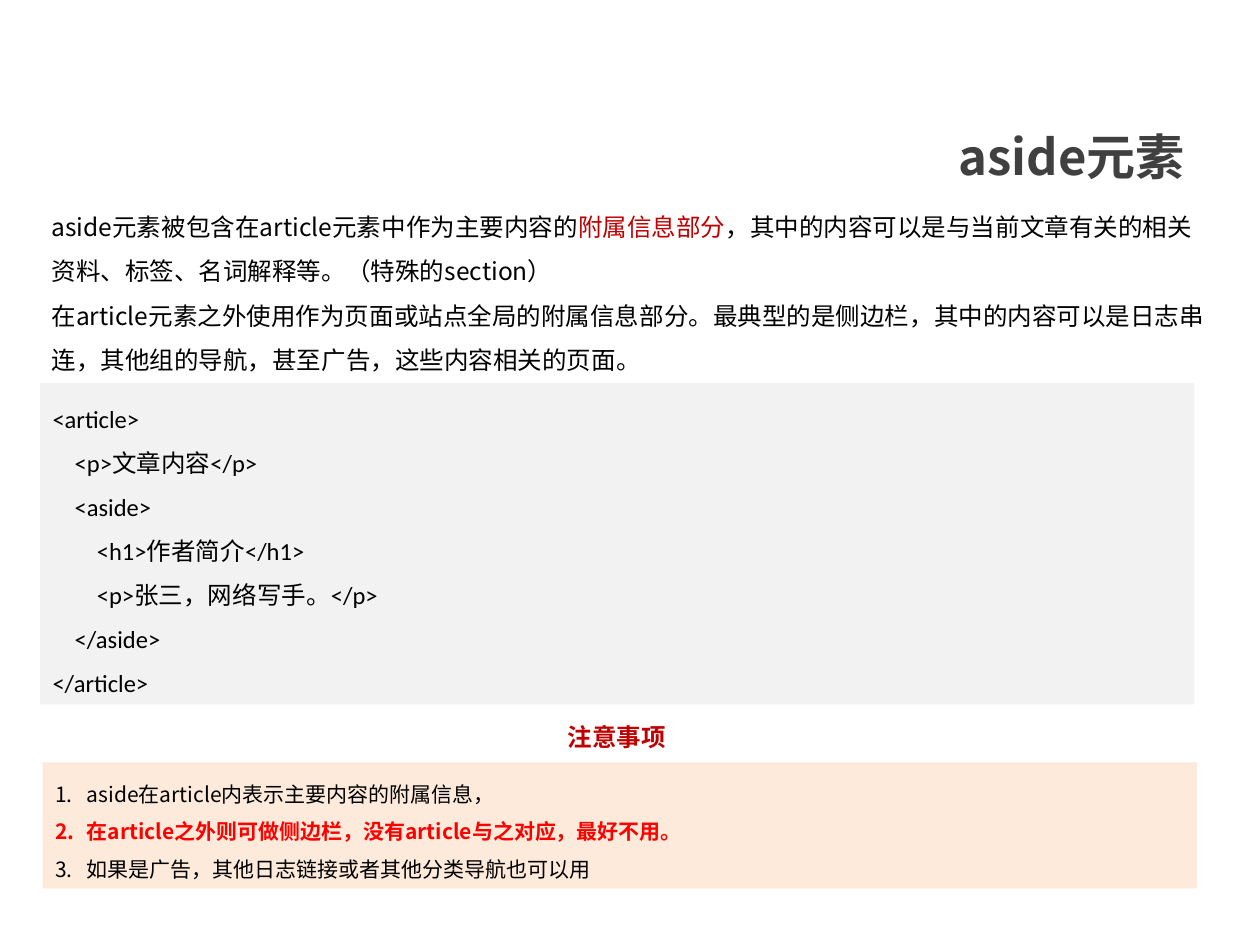
from dataclasses import dataclass

from lxml import etree
from pptx import Presentation
from pptx.dml.color import RGBColor
from pptx.enum import shapes, text
from pptx.oxml import ns
from pptx.util import Cm, Pt


@dataclass(frozen=True)
class Theme:
    sans: str = "Noto Sans CJK SC"
    code: str = "Calibri"
    title_size: int = 28
    body_size: int = 14
    note_size: int = 12
    ink: str = "000000"
    title: str = "404040"
    accent: str = "C00000"
    warning: str = "FF0000"
    code_fill: str = "F2F2F2"
    note_fill: str = "FDEADA"


THEME = Theme()


def add_run(paragraph, words, size, color=THEME.ink, bold=False, face=THEME.sans):
    run = paragraph.add_run()
    run.text = words
    run.font.size = Pt(size)
    run.font.bold = bold
    run.font.name = face
    run.font.color.rgb = RGBColor.from_string(color)
    east_asian = etree.SubElement(run.font._element, ns.qn("a:ea"))
    east_asian.set("typeface", THEME.sans)


def number(paragraph):
    properties = paragraph._p.get_or_add_pPr()
    properties.set("marL", str(Cm(0.64)))
    properties.set("indent", str(-Cm(0.64)))
    numbering = etree.SubElement(properties, ns.qn("a:buAutoNum"))
    numbering.set("type", "arabicPeriod")


def fill_frame(frame, lines, size, align=text.PP_ALIGN.LEFT, spacing=None,
               face=THEME.sans, numbered=False):
    frame.word_wrap = True
    for index, runs in enumerate(lines):
        paragraph = frame.paragraphs[0] if index == 0 else frame.add_paragraph()
        paragraph.alignment = align
        if spacing:
            paragraph.line_spacing = spacing
        if numbered:
            number(paragraph)
        for words, *style in runs:
            add_run(paragraph, words, size, *style, face=face)


def add_label(slide, box, lines, size, anchor=text.MSO_ANCHOR.TOP, **style):
    frame = slide.shapes.add_textbox(*map(Cm, box)).text_frame
    frame.vertical_anchor = anchor
    fill_frame(frame, lines, size, **style)


def add_panel(slide, box, fill, lines, size, **style):
    panel = slide.shapes.add_shape(shapes.MSO_SHAPE.RECTANGLE, *map(Cm, box))
    panel.shadow.inherit = False
    panel.fill.solid()
    panel.fill.fore_color.rgb = RGBColor.from_string(fill)
    panel.line.fill.background()
    panel.text_frame.vertical_anchor = text.MSO_ANCHOR.TOP
    fill_frame(panel.text_frame, lines, size, **style)


def main():
    deck = Presentation()
    deck.slide_width, deck.slide_height = Cm(25.4), Cm(19.05)
    slide = deck.slides.add_slide(deck.slide_layouts[6])

    add_label(slide, (1.27, 2.34, 22.86, 1.6),
              [[("aside元素", THEME.title, True)]], THEME.title_size,
              anchor=text.MSO_ANCHOR.MIDDLE, align=text.PP_ALIGN.RIGHT)

    description = [
        [("aside元素被包含在article元素中作为主要内容的",),
         ("附属信息部分", THEME.accent),
         ("，其中的内容可以是与当前文章有关的相关资料、标签、名词解释等。（特殊的section）",)],
        [("在article元素之外使用作为页面或站点全局的附属信息部分。最典型的是侧边栏，"
          "其中的内容可以是日志串连，其他组的导航，甚至广告，这些内容相关的页面。",)],
    ]
    add_label(slide, (0.79, 3.86, 23.8, 3.81), description, THEME.body_size,
              spacing=1.5)

    code = """<article>
    <p>文章内容</p>
    <aside>
        <h1>作者简介</h1>
        <p>张三，网络写手。</p>
    </aside>
</article>"""
    add_panel(slide, (0.81, 7.72, 23.27, 6.48), THEME.code_fill,
              [[(line,)] for line in code.splitlines()], THEME.body_size,
              spacing=1.5, face=THEME.code)

    notes = [
        [("aside在article内表示主要内容的附属信息，",)],
        [("在article之外则可做侧边栏，没有article与之对应，最好不用。",
          THEME.warning, True)],
        [("如果是广告，其他日志链接或者其他分类导航也可以用",)],
    ]
    add_panel(slide, (0.86, 15.37, 23.27, 2.54), THEME.note_fill, notes,
              THEME.note_size, spacing=1.5, numbered=True)

    add_label(slide, (10.44, 14.43, 3.99, 0.86),
              [[("注意事项", THEME.accent, True)]], THEME.body_size,
              align=text.PP_ALIGN.CENTER)

    deck.save("out.pptx")


if __name__ == "__main__":
    main()
